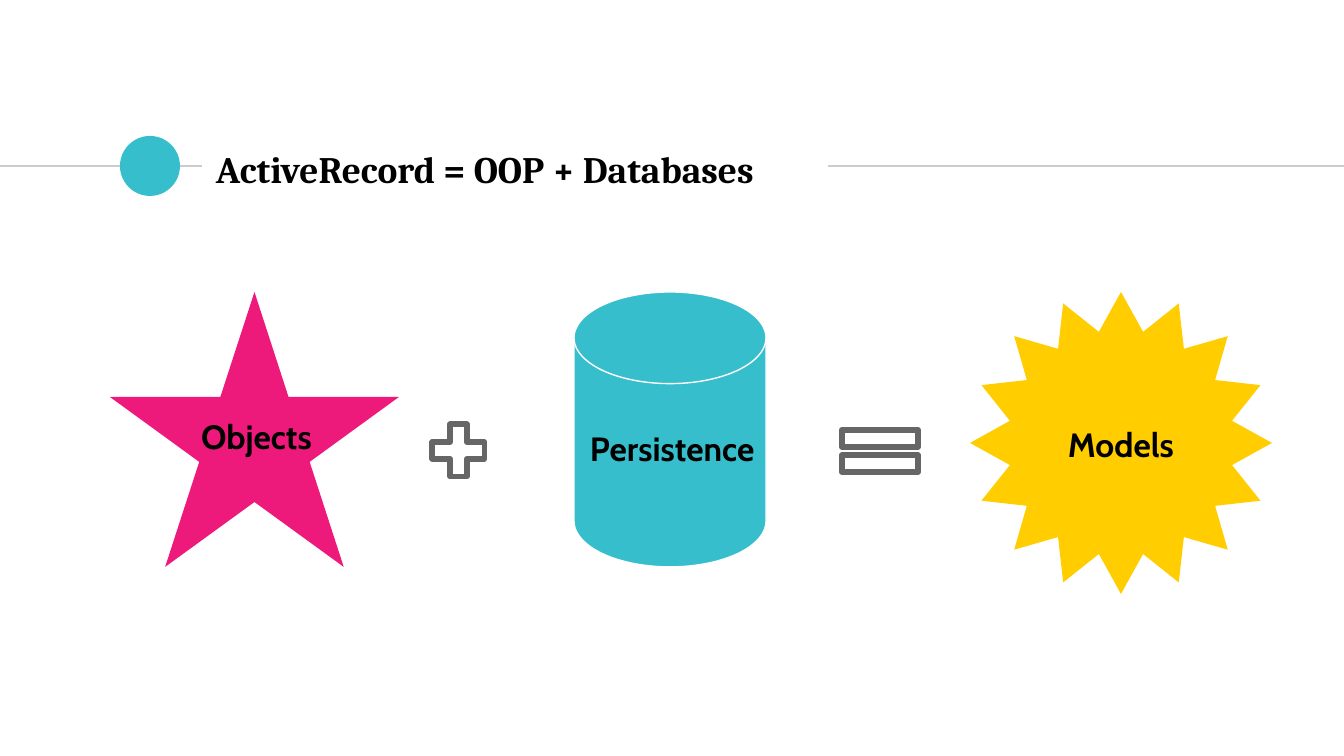
"""Build a slide that shows ActiveRecord as objects plus persistence."""
from lxml.etree import SubElement
from pptx import Presentation
from pptx.dml.color import RGBColor
from pptx.enum.shapes import MSO_CONNECTOR, MSO_SHAPE as SHAPE
from pptx.enum.text import MSO_ANCHOR, MSO_AUTO_SIZE, PP_ALIGN as ALIGN
from pptx.oxml.ns import qn
from pptx.util import Pt

EMU_PER_PX = 914400 / 134.4
INSET = 13
BLACK = RGBColor(0x00, 0x00, 0x00)
WHITE = RGBColor(0xFF, 0xFF, 0xFF)
RULE_GREY = RGBColor(0xCC, 0xCC, 0xCC)
SIGN_GREY = RGBColor(0x66, 0x66, 0x66)
TEAL = RGBColor(0x37, 0xBE, 0xCC)
PINK = RGBColor(0xED, 0x19, 0x7B)
YELLOW = RGBColor(0xFF, 0xCD, 0x00)


def px(length):
    return round(length * EMU_PER_PX)


def add_rule(page, start, end, y):
    rule = page.shapes.add_connector(
        MSO_CONNECTOR.STRAIGHT, px(start), px(y), px(end), px(y))
    rule.line.color.rgb = RULE_GREY
    rule.line.width = Pt(0.75)
    SubElement(rule.element.spPr, qn("a:effectLst"))


def add_figure(page, kind, bounds, fill=None, line=None, weight=0.75):
    figure = page.shapes.add_shape(kind, *map(px, bounds))
    figure.shadow.inherit = False
    if fill is None:
        figure.fill.background()
    else:
        figure.fill.solid()
        figure.fill.fore_color.rgb = fill
    if line is None:
        figure.line.fill.background()
    else:
        figure.line.color.rgb = line
        figure.line.width = Pt(weight)
    return figure


def add_sign(page, kind, bounds):
    sign = add_figure(page, kind, bounds, line=SIGN_GREY, weight=3)
    SubElement(sign.element.spPr.find(qn("a:ln")), qn("a:round"))


def write(box, text, font, size, align=ALIGN.LEFT, anchor=MSO_ANCHOR.TOP):
    frame = box.text_frame
    frame.text = text
    frame.word_wrap = True
    frame.auto_size = MSO_AUTO_SIZE.NONE
    frame.vertical_anchor = anchor
    frame.margin_left = frame.margin_right = px(INSET)
    frame.margin_top = frame.margin_bottom = px(INSET)
    para = frame.paragraphs[0]
    para.alignment = align
    span = para.runs[0]
    span.font.name = font
    span.font.size = Pt(size)
    span.font.bold = True
    span.font.color.rgb = BLACK


def add_label(page, text, bounds, align=ALIGN.LEFT):
    box = page.shapes.add_textbox(*map(px, bounds))
    write(box, text, "Cabin", 18, align)


def place_title(page, text, bounds):
    title = page.shapes.title
    title.left, title.top, title.width, title.height = map(px, bounds)
    title.fill.solid()
    title.fill.fore_color.rgb = WHITE
    write(title, text, "Cambria", 20, anchor=MSO_ANCHOR.MIDDLE)
    title.element.getparent().append(title.element)


def main():
    deck = Presentation()
    deck.slide_width, deck.slide_height = px(1344), px(756)
    page = deck.slides.add_slide(deck.slide_layouts[5])

    add_rule(page, 0, 202, 166)
    add_figure(page, SHAPE.OVAL, (120, 136, 60, 60), TEAL)
    add_rule(page, 774, 1344, 166)
    place_title(page, "ActiveRecord = OOP + Databases", (203, 136, 625, 65))

    add_figure(page, SHAPE.STAR_5_POINT, (110, 292, 289, 275), PINK)
    add_figure(page, SHAPE.STAR_16_POINT, (970, 292, 302, 302), YELLOW)
    add_figure(page, SHAPE.FLOWCHART_MAGNETIC_DISK, (574, 292, 192, 275),
               TEAL, WHITE)

    add_sign(page, SHAPE.MATH_PLUS, (423, 415, 71, 71))
    add_label(page, "Objects", (172, 403, 169, 81), ALIGN.CENTER)
    add_label(page, "Persistence", (577, 415, 194, 81))
    add_label(page, "Models", (1055, 411, 176, 81))
    add_sign(page, SHAPE.MATH_EQUAL, (828, 415, 104, 72))

    deck.save("out.pptx")


if __name__ == "__main__":
    main()
